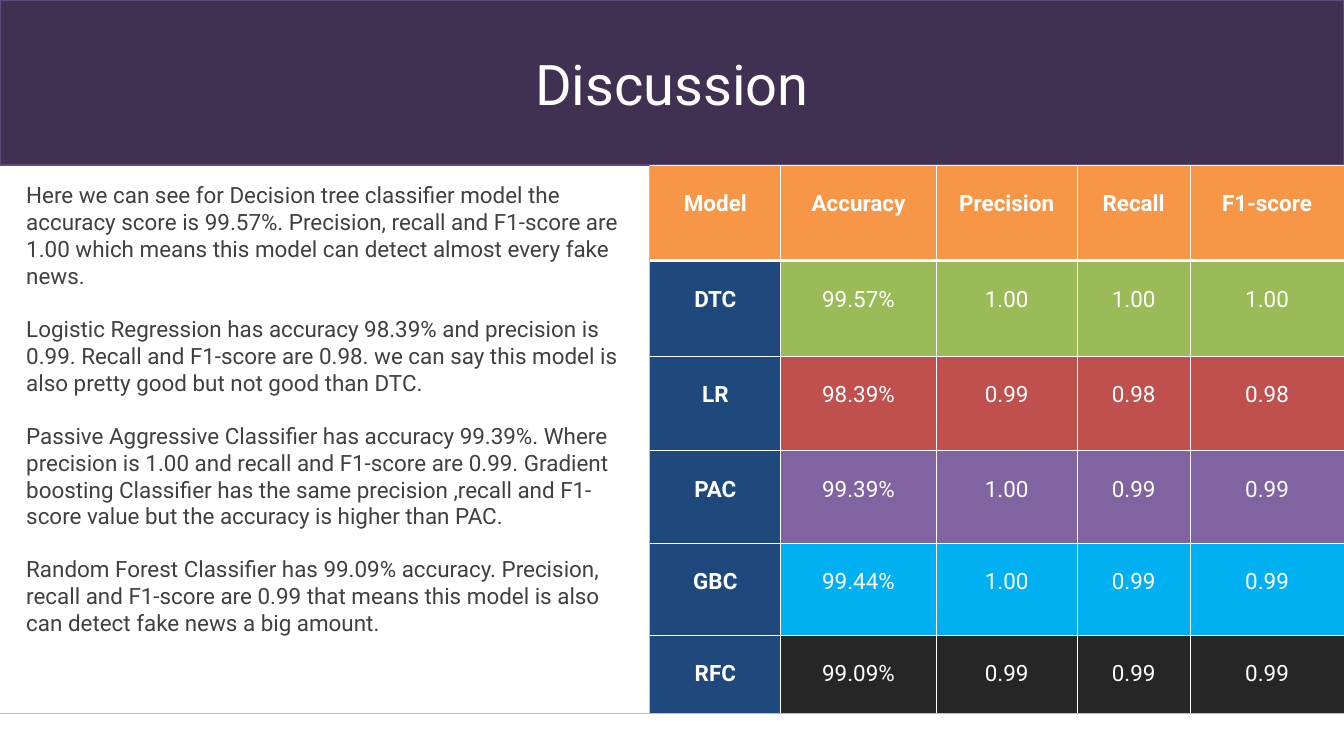
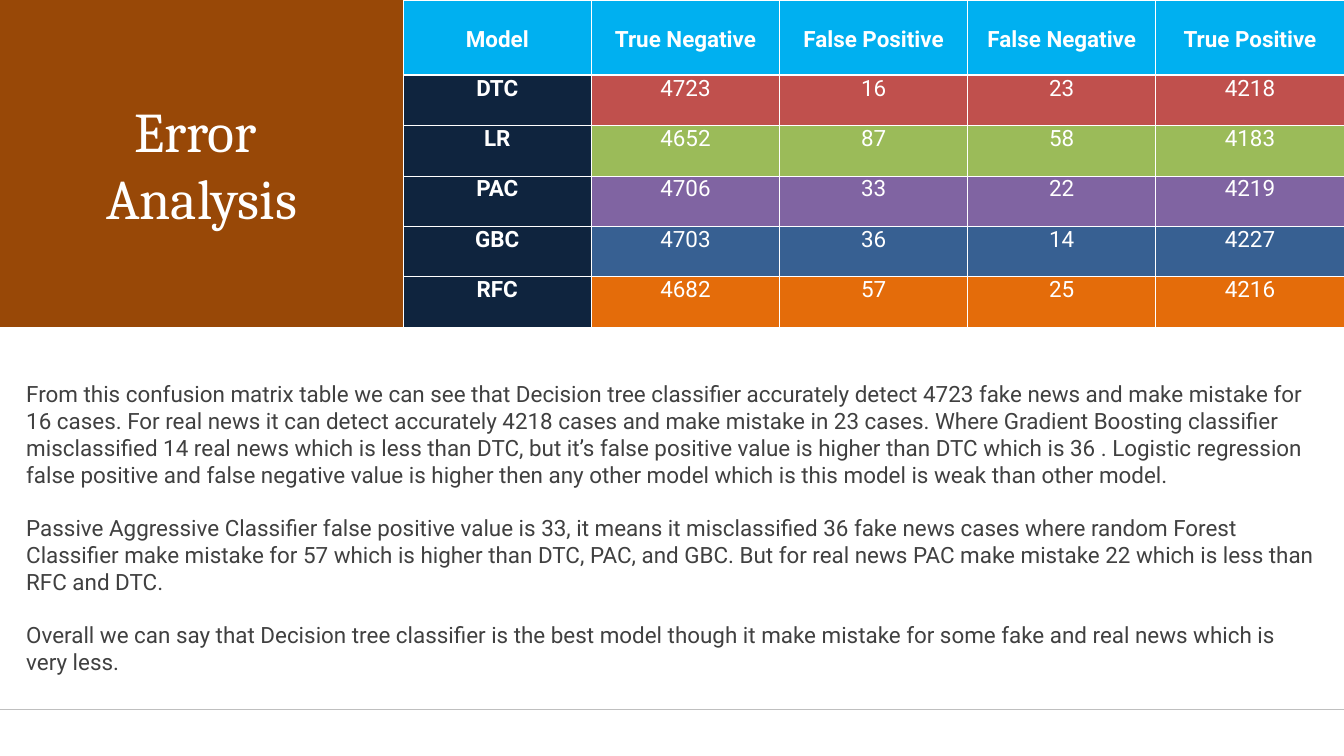
from lxml import etree
from pptx import Presentation
from pptx import util as u
from pptx.dml.color import RGBColor
from pptx.enum import shapes, text
from pptx.oxml.ns import qn

# Shared look
WIDTH, HEIGHT = 20, 11.25
WHITE, GREY, INK = "FFFFFF", "BFBFBF", "404040"
GREEN, RED, PURPLE, SKY = "9BBB59", "C0504D", "8064A2", "00B0F0"
SANS, SERIF = "Roboto", "Cambria"
TITLE_SIZE, TEXT_SIZE, PARAGRAPH_GAP = 60, 24, 28
BLANK_LINE = 0.38  # space above the text of a tall table row

# Slide content
DISCUSSION = {
    "title": ["Discussion"],
    "title_font": SANS,
    "title_box": (0, 0, WIDTH, 2.46),
    "title_colors": ("403152", "604A7B"),
    "body": [
        "Here we can see for Decision tree classifier model the accuracy score is 99.57%. "
        "Precision, recall and F1-score are 1.00 which means this model can detect almost "
        "every fake news.",
        "Logistic Regression has accuracy 98.39% and precision is 0.99. Recall and F1-score "
        "are 0.98. we can say this model is also pretty good but not good than DTC.",
        "Passive Aggressive Classifier has accuracy 99.39%. Where precision is 1.00 and recall "
        "and F1-score are 0.99. Gradient boosting Classifier has the same precision ,recall and "
        "F1-score value but the accuracy is higher than PAC.",
        "Random Forest Classifier has 99.09% accuracy. Precision, recall and F1-score are 0.99 "
        "that means this model is also can detect fake news a big amount.",
    ],
    "body_box": (0.29, 2.65, 9.08, 7.37),
    "table": [
        ("Model", "Accuracy", "Precision", "Recall", "F1-score"),
        ("DTC", "99.57%", "1.00", "1.00", "1.00"),
        ("LR", "98.39%", "0.99", "0.98", "0.98"),
        ("PAC", "99.39%", "1.00", "0.99", "0.99"),
        ("GBC", "99.44%", "1.00", "0.99", "0.99"),
        ("RFC", "99.09%", "0.99", "0.99", "0.99"),
    ],
    "table_corner": (9.67, 2.46),
    "columns": [1.95, 2.31, 2.1, 1.68, 2.29],
    "rows": [1.42, 1.42, 1.41, 1.38, 1.37, 1.17],
    "row_colors": ["F79646", GREEN, RED, PURPLE, SKY, "262626"],
    "model_color": "1F497D",
    "row_top_margin": BLANK_LINE,
    "rules": [(9.67, 2.46, 9.67, 10.62), (0, 10.62, WIDTH, 10.62)],
}

ERROR_ANALYSIS = {
    "title": ["Error ", "Analysis"],
    "title_font": SERIF,
    "title_box": (0, 0, 6, 4.86),
    "title_colors": ("984807", "984807"),
    "body": [
        "From this confusion matrix table we can see that Decision tree classifier accurately "
        "detect 4723 fake news and make mistake for 16 cases. For real news it can detect "
        "accurately 4218 cases and make mistake in 23 cases. Where Gradient Boosting classifier "
        "misclassified 14 real news which is less than DTC, but it’s false positive value is "
        "higher than DTC which is 36 . Logistic regression false positive and false negative "
        "value is higher then any other model which is this model is weak than other model.",
        "Passive Aggressive Classifier false positive value is 33, it means it misclassified 36 "
        "fake news cases where random Forest Classifier make mistake for 57 which is higher than "
        "DTC, PAC, and GBC. But for real news PAC make mistake 22 which is less than RFC and DTC.",
        "Overall we can say that Decision tree classifier is the best model though it make "
        "mistake for some fake and real news which is very less.",
    ],
    "body_box": (0.29, 5.61, 19.42, 4.95),
    "table": [
        ("Model", "True Negative", "False Positive", "False Negative", "True Positive"),
        ("DTC", "4723", "16", "23", "4218"),
        ("LR", "4652", "87", "58", "4183"),
        ("PAC", "4706", "33", "22", "4219"),
        ("GBC", "4703", "36", "14", "4227"),
        ("RFC", "4682", "57", "25", "4216"),
    ],
    "table_corner": (6, 0.01),
    "columns": [2.8] * 5,
    "rows": [1.11] + [0.75] * 5,
    "row_colors": [SKY, RED, GREEN, PURPLE, "376092", "E46C0A"],
    "model_color": "0F243E",
    "row_top_margin": 0,
    "rules": [(0, 10.56, WIDTH, 10.56)],
}


def color(value):
    return RGBColor.from_string(value)


def inches(values):
    return [u.Inches(value) for value in values]


def place(shape, box):
    shape.left, shape.top, shape.width, shape.height = inches(box)


def paint(shape_or_cell, value):
    shape_or_cell.fill.solid()
    shape_or_cell.fill.fore_color.rgb = color(value)


def add_run(paragraph, words, size, font, ink, bold=False):
    run = paragraph.add_run()
    run.text = words
    run.font.size, run.font.name, run.font.bold = u.Pt(size), font, bold
    run.font.color.rgb = color(ink)


def fill_frame(frame, lines, align, gap, size, font, ink, bullets_off=False):
    """Write one paragraph per line, with a gap before all but the first."""
    frame.word_wrap = True
    frame.auto_size = text.MSO_AUTO_SIZE.NONE
    for index, line in enumerate(lines):
        paragraph = frame.paragraphs[0] if index == 0 else frame.add_paragraph()
        if bullets_off:
            properties = paragraph._p.get_or_add_pPr()
            properties.set("marL", "0")
            properties.set("indent", "0")
            etree.SubElement(properties, qn("a:buNone"))
        paragraph.alignment = align
        paragraph.space_before = u.Pt(gap if index else 0)
        add_run(paragraph, line, size, font, ink)


def add_title(slide, content):
    title = slide.shapes.title
    place(title, content["title_box"])
    fill, outline = content["title_colors"]
    paint(title, fill)
    title.line.color.rgb = color(outline)
    title.line.width = u.Pt(2)
    title.text_frame.vertical_anchor = text.MSO_ANCHOR.MIDDLE
    fill_frame(title.text_frame, content["title"], text.PP_ALIGN.CENTER, 0,
               TITLE_SIZE, content["title_font"], WHITE)


def add_body(slide, content):
    body = slide.placeholders[1]
    place(body, content["body_box"])
    body.text_frame.vertical_anchor = text.MSO_ANCHOR.TOP
    fill_frame(body.text_frame, content["body"], text.PP_ALIGN.LEFT, PARAGRAPH_GAP,
               TEXT_SIZE, SANS, INK, bullets_off=True)


def add_borders(cell, widths):
    """Draw white borders; widths are points for left, right, top, bottom."""
    properties = cell._tc.get_or_add_tcPr()
    for side, width in zip("LRTB", widths):
        line = etree.SubElement(properties, qn(f"a:ln{side}"), w=str(u.Pt(width)))
        fill = etree.SubElement(line, qn("a:solidFill"))
        etree.SubElement(fill, qn("a:srgbClr"), val=WHITE)


def add_scores(slide, content):
    rows, columns = content["rows"], content["columns"]
    size = (sum(columns), sum(rows))
    table = slide.shapes.add_table(len(rows), len(columns),
                                   *inches(content["table_corner"] + size)).table
    table.first_row = table.horz_banding = False
    for column, width in zip(table.columns, columns):
        column.width = u.Inches(width)
    for row_index, values in enumerate(content["table"]):
        table.rows[row_index].height = u.Inches(rows[row_index])
        is_header = row_index == 0
        top_margin = BLANK_LINE if is_header else content["row_top_margin"]
        for column_index, value in enumerate(values):
            is_model = column_index == 0 and not is_header
            cell = table.cell(row_index, column_index)
            add_borders(cell, (1, 1, 3 if row_index == 1 else 1, 3 if is_header else 1))
            paint(cell, content["model_color"] if is_model else content["row_colors"][row_index])
            cell.margin_left = cell.margin_right = u.Inches(0.07)
            cell.margin_top, cell.margin_bottom = u.Inches(top_margin), 0
            cell.vertical_anchor = text.MSO_ANCHOR.TOP
            paragraph = cell.text_frame.paragraphs[0]
            paragraph.alignment = text.PP_ALIGN.CENTER
            add_run(paragraph, value, TEXT_SIZE, SANS, WHITE, bold=is_header or is_model)


def add_rule(slide, ends):
    rule = slide.shapes.add_connector(shapes.MSO_CONNECTOR.STRAIGHT, *inches(ends))
    rule.line.color.rgb = color(GREY)
    rule.line.width = u.Pt(0.75)
    etree.SubElement(rule._element.spPr, qn("a:effectLst"))


def main():
    presentation = Presentation()
    presentation.slide_width, presentation.slide_height = inches((WIDTH, HEIGHT))
    for content in (DISCUSSION, ERROR_ANALYSIS):
        slide = presentation.slides.add_slide(presentation.slide_layouts[1])
        add_title(slide, content)
        add_body(slide, content)
        add_scores(slide, content)
        for ends in content["rules"]:
            add_rule(slide, ends)
    presentation.save("out.pptx")


if __name__ == "__main__":
    main()
